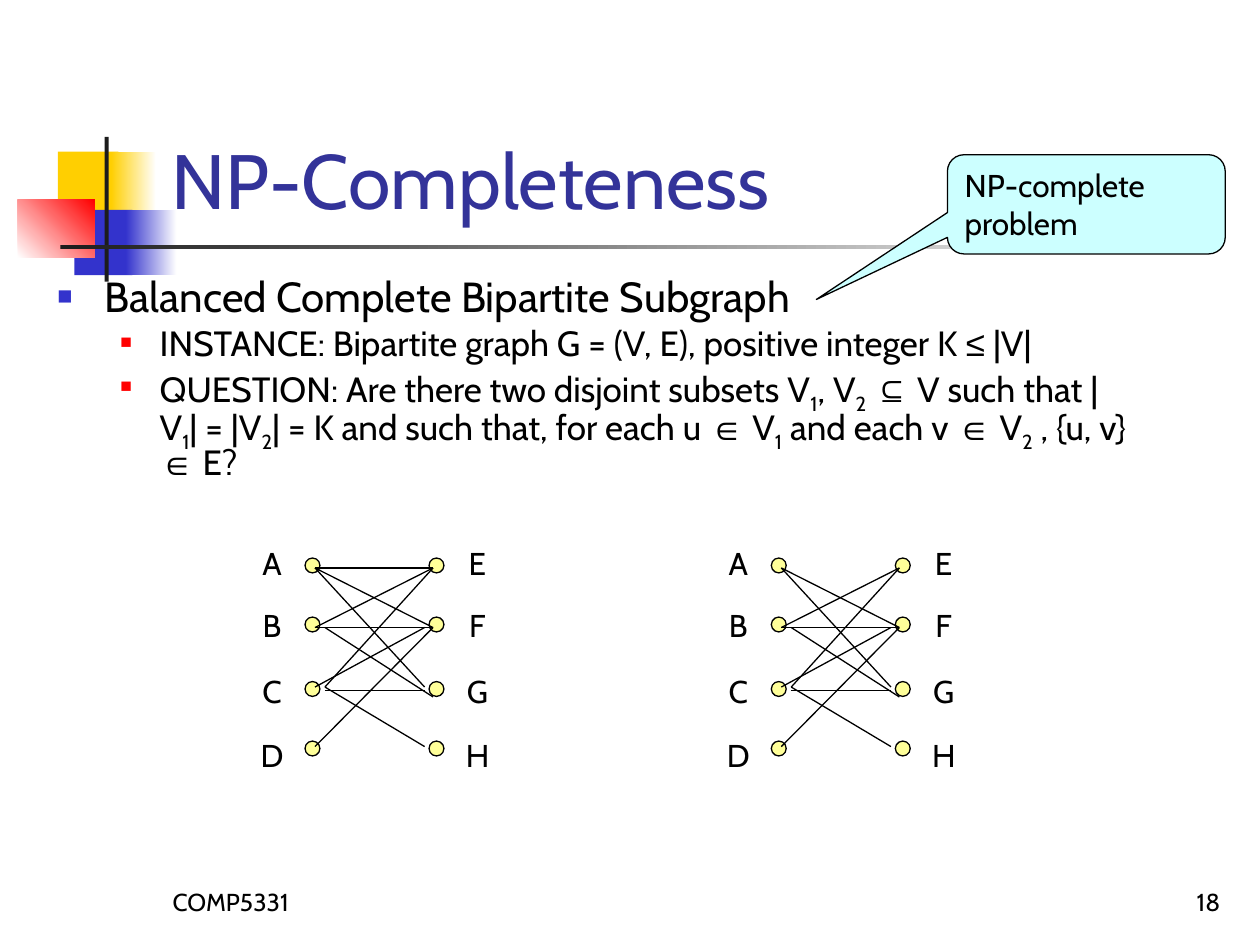
from lxml import etree
from pptx import Presentation
from pptx.dml.color import RGBColor
from pptx.enum.shapes import MSO_CONNECTOR, MSO_SHAPE
from pptx.enum.text import MSO_ANCHOR, MSO_AUTO_SIZE, PP_ALIGN
from pptx.oxml.ns import qn
from pptx.util import Cm, Pt

RECT, OVAL = MSO_SHAPE.RECTANGLE, MSO_SHAPE.OVAL
CALLOUT = MSO_SHAPE.ROUNDED_RECTANGULAR_CALLOUT
STRAIGHT = MSO_CONNECTOR.STRAIGHT
TOP, BOTTOM = MSO_ANCHOR.TOP, MSO_ANCHOR.BOTTOM
LEFT, CENTER, RIGHT = PP_ALIGN.LEFT, PP_ALIGN.CENTER, PP_ALIGN.RIGHT
FIT_SHAPE = MSO_AUTO_SIZE.SHAPE_TO_FIT_TEXT

BLACK = RGBColor(0x00, 0x00, 0x00)
WHITE = RGBColor(0xFF, 0xFF, 0xFF)
CHARCOAL = RGBColor(0x1C, 0x1C, 0x1C)
GOLD = RGBColor(0xFF, 0xCF, 0x01)
BLUE = RGBColor(0x33, 0x33, 0xCC)
RED = RGBColor(0xFF, 0x00, 0x00)
INDIGO = RGBColor(0x33, 0x33, 0x99)
PALE_YELLOW = RGBColor(0xFF, 0xFF, 0x99)
PALE_CYAN = RGBColor(0xCC, 0xFF, 0xFF)

FONT, SYMBOL_FONT = "Cabin", "Arial"
HAIRLINE = Pt(0.75)

PLAIN, SUB, SYMBOL = "plain", "subscript", "symbol"
HEADING = [("Balanced Complete Bipartite Subgraph", PLAIN)]
INSTANCE = [("INSTANCE: Bipartite graph G = (V, E), positive integer K ", PLAIN),
            ("≤", SYMBOL), (" |V|", PLAIN)]
QUESTION = [("QUESTION: Are there two disjoint subsets V", PLAIN), ("1", SUB),
            (", V", PLAIN), ("2", SUB), (" ", PLAIN), ("⊆", SYMBOL),
            (" V such that |V", PLAIN), ("1", SUB), ("| = |V", PLAIN), ("2", SUB),
            ("| = K and such that, for each u ", PLAIN), ("∈", SYMBOL),
            (" V", PLAIN), ("1", SUB), (" and each v ", PLAIN), ("∈", SYMBOL),
            (" V", PLAIN), ("2", SUB), (" , {u, v} ", PLAIN), ("∈", SYMBOL),
            (" E?", PLAIN)]

# Edge ends in cm from the graph's corner: x1, y1, x2, y2
EDGES = {
    "AE": (1.35, 0.6, 3.73, 0.6), "AF": (1.35, 0.6, 3.73, 1.8),
    "AG": (1.35, 0.6, 3.56, 3.0), "BE": (1.35, 1.8, 3.73, 0.6),
    "BF": (1.35, 1.8, 3.73, 1.8), "BG": (1.55, 1.8, 3.73, 3.2),
    "CE": (1.55, 3.0, 3.73, 0.6), "CF": (1.35, 3.0, 3.56, 1.8),
    "CG": (1.55, 3.07, 3.56, 3.07), "DF": (1.35, 4.2, 3.73, 1.8),
    "CH": (1.55, 3.0, 3.56, 4.2),
}
NODE_TOPS = (0.4, 1.59, 2.89, 4.09)
LABEL_TOPS = (0, 1.24, 2.57, 3.86)
# Names, label left and node left of each side
SIDES = (("ABCD", 0, 1.15), ("EFGH", 4.14, 3.65))


def apply_format(target, **values):
    for name, value in values.items():
        setattr(target, name, value)


def style_font(font, size, color=BLACK, name=FONT):
    apply_format(font, name=name, size=Pt(size))
    font.color.rgb = color


def add_text(page, text, box, size, color=BLACK, align=LEFT, anchor=TOP, wrap=True):
    shape = page.shapes.add_textbox(*map(Cm, box))
    apply_format(shape.text_frame, word_wrap=wrap, vertical_anchor=anchor)
    para = shape.text_frame.paragraphs[0]
    para.alignment = align
    span = para.add_run()
    span.text = text
    style_font(span.font, size, color)
    return shape


def add_block(page, kind, box, color, outlined=False):
    shape = page.shapes.add_shape(kind, *map(Cm, box))
    shape.shadow.inherit = False
    shape.fill.solid()
    shape.fill.fore_color.rgb = color
    if outlined:
        shape.line.color.rgb = BLACK
        shape.line.width = HAIRLINE
    else:
        shape.line.fill.background()
    return shape


def add_fade(page, box, start, end, angle=0):
    shape = add_block(page, RECT, box, start)
    shape.fill.gradient()
    shape.fill.gradient_angle = angle
    for stop, color in zip(shape.fill.gradient_stops, (start, end)):
        stop.color.rgb = color


def add_ornament(page, left, top):
    """Coloured squares, upright bar and fading rule beside the title."""
    add_block(page, RECT, (left + 0.81, top + 0.3, 1.22, 1.32), GOLD)
    add_fade(page, (left + 1.88, top + 0.3, 0.91, 1.32), GOLD, WHITE)
    add_block(page, RECT, (left + 1.14, top + 1.47, 1.17, 1.32), BLUE)
    add_fade(page, (left + 2.18, top + 1.47, 1.02, 1.32), BLUE, WHITE)
    add_fade(page, (left, top + 1.27, 1.55, 1.17), WHITE, RED, 45)
    add_block(page, RECT, (left + 1.75, top, 0.08, 2.92), CHARCOAL)
    add_fade(page, (left + 0.86, top + 2.18, 22.86, 0.09), CHARCOAL, WHITE)


def add_bullet(para, color, percent, indent, hanging):
    props = para._p.get_or_add_pPr()
    props.set("marL", str(Cm(indent)))
    props.set("indent", str(-Cm(hanging)))
    tint = etree.SubElement(props, qn("a:buClr"))
    etree.SubElement(tint, qn("a:srgbClr"), val=str(color))
    etree.SubElement(props, qn("a:buSzPct"), val=str(percent * 1000))
    etree.SubElement(props, qn("a:buFont"), typeface=SYMBOL_FONT)
    etree.SubElement(props, qn("a:buChar"), char="■")


def add_body(page, box):
    frame = page.shapes.add_textbox(*map(Cm, box)).text_frame
    frame.word_wrap = True
    major, minor = (BLUE, 60, 0.95, 0.95), (RED, 55, 2.06, 0.79)
    items = ((HEADING, 24, 0, major), (INSTANCE, 20, 1, minor), (QUESTION, 20, 1, minor))
    for index, (spans, size, level, bullet) in enumerate(items):
        para = frame.add_paragraph() if index else frame.paragraphs[0]
        add_bullet(para, *bullet)
        apply_format(para, level=level, line_spacing=0.8, space_before=Pt(5 if index else 0))
        for text, kind in spans:
            span = para.add_run()
            span.text = text
            style_font(span.font, size, name=SYMBOL_FONT if kind == SYMBOL else FONT)
            if kind == SUB:
                span.font._element.set("baseline", "-25000")


def add_edge(page, left, top, ends):
    x1, y1, x2, y2 = ends
    line = page.shapes.add_connector(
        STRAIGHT, Cm(left + x1), Cm(top + y1), Cm(left + x2), Cm(top + y2))
    line.line.color.rgb = BLACK
    line.line.width = HAIRLINE
    etree.SubElement(line._element.spPr, qn("a:effectLst"))


def add_graph(page, left, top, edges):
    for names, label_left, node_left in SIDES:
        for name, label_top, node_top in zip(names, LABEL_TOPS, NODE_TOPS):
            add_block(page, OVAL, (left + node_left, top + node_top, 0.3, 0.3),
                      PALE_YELLOW, outlined=True)
            label = add_text(page, name, (left + label_left, top + label_top, 0.97, 1.02),
                             18, align=CENTER, wrap=False)
            label.text_frame.auto_size = FIT_SHAPE
    for edge in edges:
        add_edge(page, left, top, EDGES[edge])


def add_callout(page, box, text):
    shape = add_block(page, CALLOUT, box, PALE_CYAN, outlined=True)
    for index, value in enumerate((-0.972, 0.959, 0.167)):
        shape.adjustments[index] = value
    apply_format(shape.text_frame, word_wrap=True, vertical_anchor=TOP)
    para = shape.text_frame.paragraphs[0]
    para.alignment = LEFT
    span = para.add_run()
    span.text = text
    style_font(span.font, 18)


def main():
    deck = Presentation()
    deck.slide_width, deck.slide_height = Cm(25.4), Cm(19.05)
    page = deck.slides.add_slide(deck.slide_layouts[6])
    add_ornament(page, 0.36, 2.76)
    add_text(page, "COMP5331", (3.23, 17.33, 5.28, 1.27), 14, anchor=BOTTOM)
    add_text(page, "18", (19.57, 17.33, 5.28, 1.27), 14, align=RIGHT, anchor=BOTTOM)
    add_text(page, "NP-Completeness", (3.2, 0.6, 21.64, 4.06), 44, INDIGO, anchor=BOTTOM)
    add_body(page, (0.91, 5.53, 22.1, 5.33))
    add_graph(page, 5, 10.85, EDGES)
    add_graph(page, 14.4, 10.85, [edge for edge in EDGES if edge != "AE"])
    add_callout(page, (19.1, 3.12, 5.6, 2), "NP-complete problem")
    deck.save("out.pptx")


if __name__ == "__main__":
    main()
